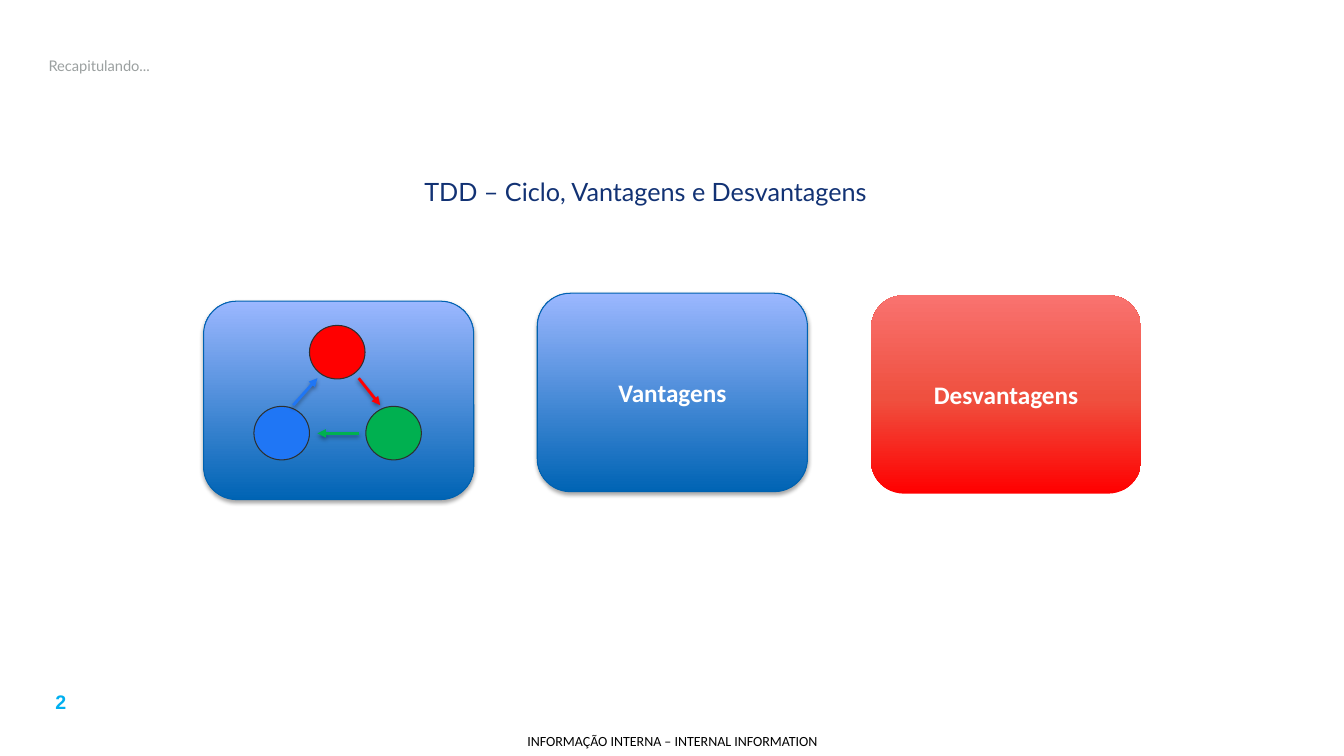
from lxml.etree import SubElement
from pptx import Presentation
from pptx.dml.color import RGBColor
from pptx.enum.shapes import MSO_CONNECTOR as Link, MSO_SHAPE as Preset
from pptx.enum.text import MSO_ANCHOR as Anchor, MSO_AUTO_SIZE as AutoSize, PP_ALIGN as Align
from pptx.oxml.ns import qn
from pptx.util import Cm, Pt

COLORS = {
    "white": "FFFFFF", "black": "000000", "grey": "9BA0A0", "navy": "123274",
    "cyan": "00B0F0", "outline": "2D3030", "card_line": "0062B0",
    "red": "FF0000", "green": "00B050", "blue": "1F76F5",
}
BLUE_STOPS = [(0, "0064B4"), (100, "9BB7FF")]
RED_STOPS = [(0, "FF0000"), (48, "EF503F"), (100, "F9726F")]
CARD_WIDTH, CARD_HEIGHT, CARD_PITCH = 6.81, 5.0, 8.41
CIRCLE_WIDTH, CIRCLE_HEIGHT = 1.4, 1.35
CYCLE = [
    ("red", (2.67, 0.61), (3.91, 1.94), (4.45, 2.62)),
    ("green", (4.09, 2.65), (3.91, 3.33), (2.87, 3.33)),
    ("blue", (1.27, 2.65), (2.26, 2.62), (2.87, 1.94)),
]


def rgb(name):
    return RGBColor.from_string(COLORS[name])


def write(shape, text, font, size, color, bold=False, align=Align.CENTER, anchor=Anchor.MIDDLE):
    frame = shape.text_frame
    frame.text = text
    frame.word_wrap = True
    frame.auto_size = AutoSize.NONE
    frame.vertical_anchor = anchor
    para = frame.paragraphs[0]
    para.alignment = align
    for span in para.runs:
        span.font.name = font
        span.font.size = Pt(size)
        span.font.bold = bold
        span.font.color.rgb = rgb(color)


def add_label(page, box, *style, **options):
    label = page.shapes.add_textbox(*map(Cm, box))
    write(label, *style, **options)
    return label


def add_shadow(effects, alpha, distance):
    shadow = SubElement(effects, qn("a:outerShdw"), blurRad=str(Pt(3.1)),
                        dist=str(Pt(distance)), dir="5400000", rotWithShape="0")
    color = SubElement(shadow, qn("a:srgbClr"), val=COLORS["black"])
    SubElement(color, qn("a:alpha"), val=str(alpha * 1000))


def fill_gradient(shape, stops):
    shape.fill.gradient()
    shape.fill.gradient_angle = 90
    stop_list = shape._element.spPr.find(qn("a:gradFill")).find(qn("a:gsLst"))
    for stop in list(stop_list):
        stop_list.remove(stop)
    for position, color in stops:
        stop = SubElement(stop_list, qn("a:gs"), pos=str(position * 1000))
        SubElement(stop, qn("a:srgbClr"), val=color)


def outline(shape, color):
    shape.line.color.rgb = rgb(color)
    shape.line.width = Pt(0.75)


def add_card(page, left, top, stops, text="", raised=True):
    card = page.shapes.add_shape(Preset.ROUNDED_RECTANGLE, Cm(left), Cm(top),
                                 Cm(CARD_WIDTH), Cm(CARD_HEIGHT))
    fill_gradient(card, stops)
    card.shadow.inherit = False
    if raised:
        outline(card, "card_line")
        add_shadow(card._element.spPr.find(qn("a:effectLst")), 35, 1.8)
    else:
        card.line.fill.background()
    if text:
        write(card, text, "Calibri", 18, "white", bold=True)


def add_arrow(group, start, end, color):
    arrow = group.shapes.add_connector(Link.STRAIGHT, *map(Cm, start + end))
    arrow.line.color.rgb = rgb(color)
    arrow.line.width = Pt(2)
    properties = arrow._element.spPr
    SubElement(properties.find(qn("a:ln")), qn("a:tailEnd"), type="triangle")
    add_shadow(SubElement(properties, qn("a:effectLst")), 38, 1.6)


def add_cycle(page, left, top):
    def place(point):
        return left + point[0], top + point[1]

    group = page.shapes.add_group_shape()
    for color, corner, _, _ in CYCLE:
        circle = group.shapes.add_shape(Preset.OVAL, *map(Cm, place(corner)),
                                        Cm(CIRCLE_WIDTH), Cm(CIRCLE_HEIGHT))
        circle.fill.solid()
        circle.fill.fore_color.rgb = rgb(color)
        outline(circle, "outline")
        circle.shadow.inherit = False
    for color, _, start, end in CYCLE:
        add_arrow(group, place(start), place(end), color)


def add_cards(page, left):
    add_card(page, left, 7.59, BLUE_STOPS)
    add_cycle(page, left, 7.59)
    add_card(page, left + CARD_PITCH, 7.39, BLUE_STOPS, "Vantagens")
    add_card(page, left + 2 * CARD_PITCH, 7.44, RED_STOPS, "Desvantagens", raised=False)


def add_heading(page, box):
    title = page.shapes.title
    title.left, title.top, title.width, title.height = map(Cm, box)
    write(title, "Recapitulando...", "Lato", 10.5, "grey", align=Align.LEFT)


def add_footer(page):
    add_label(page, (0.53, 17.27, 2.01, 0.86), "2", "Arial", 14, "cyan",
              bold=True, anchor=Anchor.TOP)
    notice = add_label(page, (12.78, 18.31, 8.33, 0.74),
                       "INFORMAÇÃO INTERNA – INTERNAL INFORMATION", "Calibri", 10, "black")
    frame = notice.text_frame
    frame.margin_left = frame.margin_right = frame.margin_top = frame.margin_bottom = 0


def main():
    deck = Presentation()
    deck.slide_width, deck.slide_height = Cm(33.87), Cm(19.05)
    page = deck.slides.add_slide(deck.slide_layouts[5])
    page.background.fill.solid()
    page.background.fill.fore_color.rgb = rgb("white")
    add_footer(page)
    add_heading(page, (0.97, 1.04, 30.18, 1.22))
    add_label(page, (0.94, 3.96, 30.66, 1.75), "TDD – Ciclo, Vantagens e Desvantagens",
              "Lato", 18, "navy")
    add_cards(page, 5.13)
    deck.save("out.pptx")


if __name__ == "__main__":
    main()
